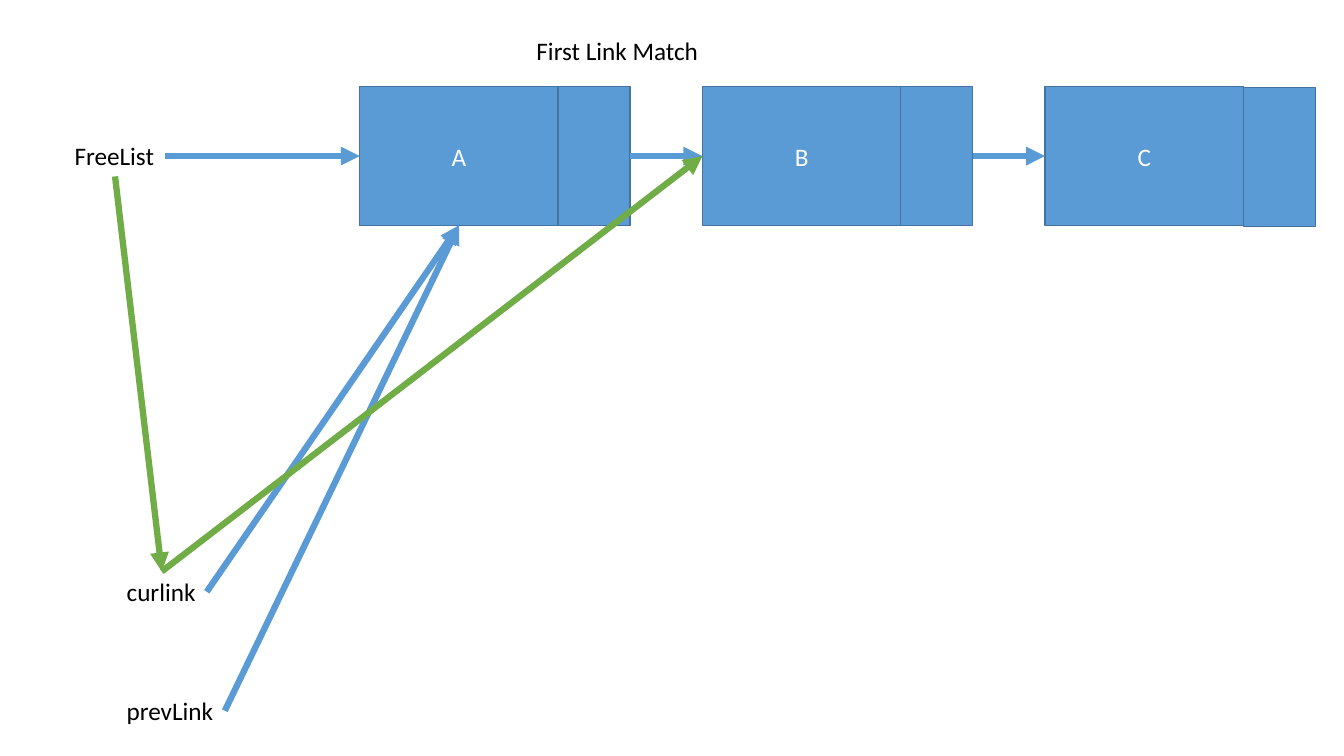
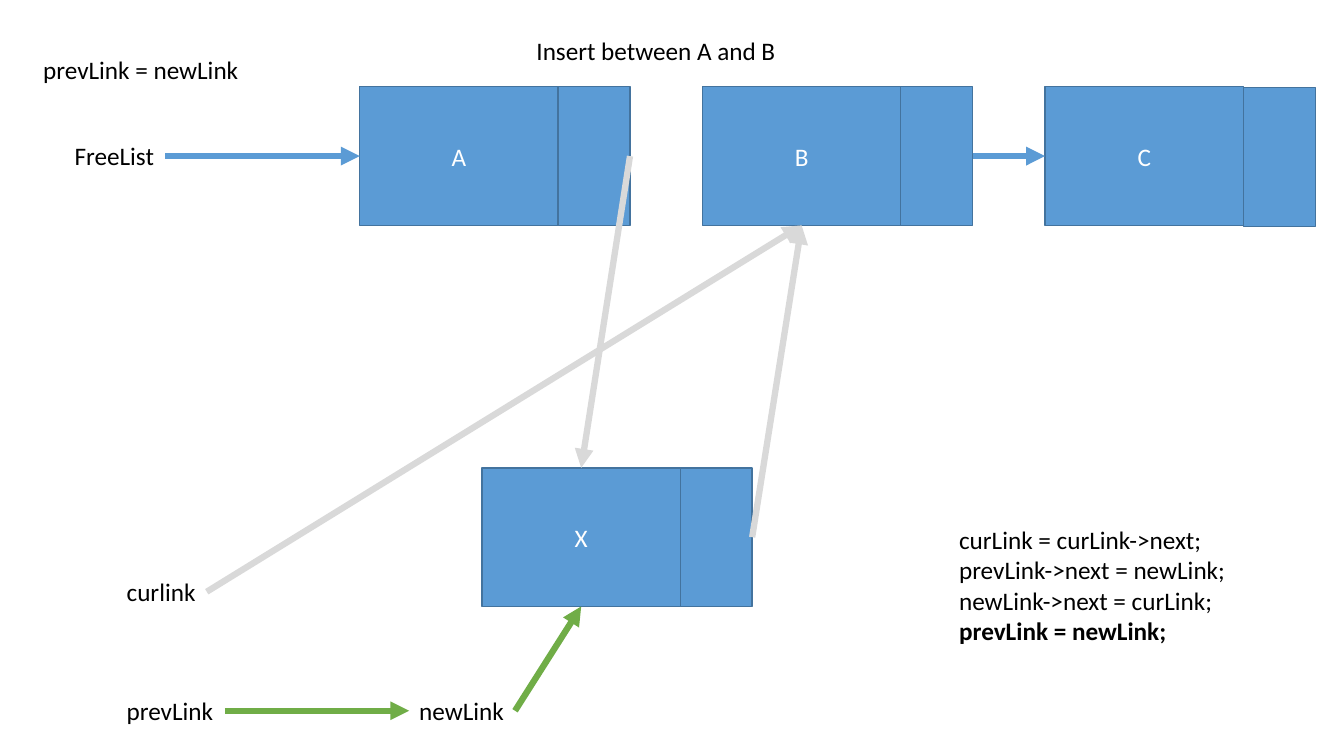
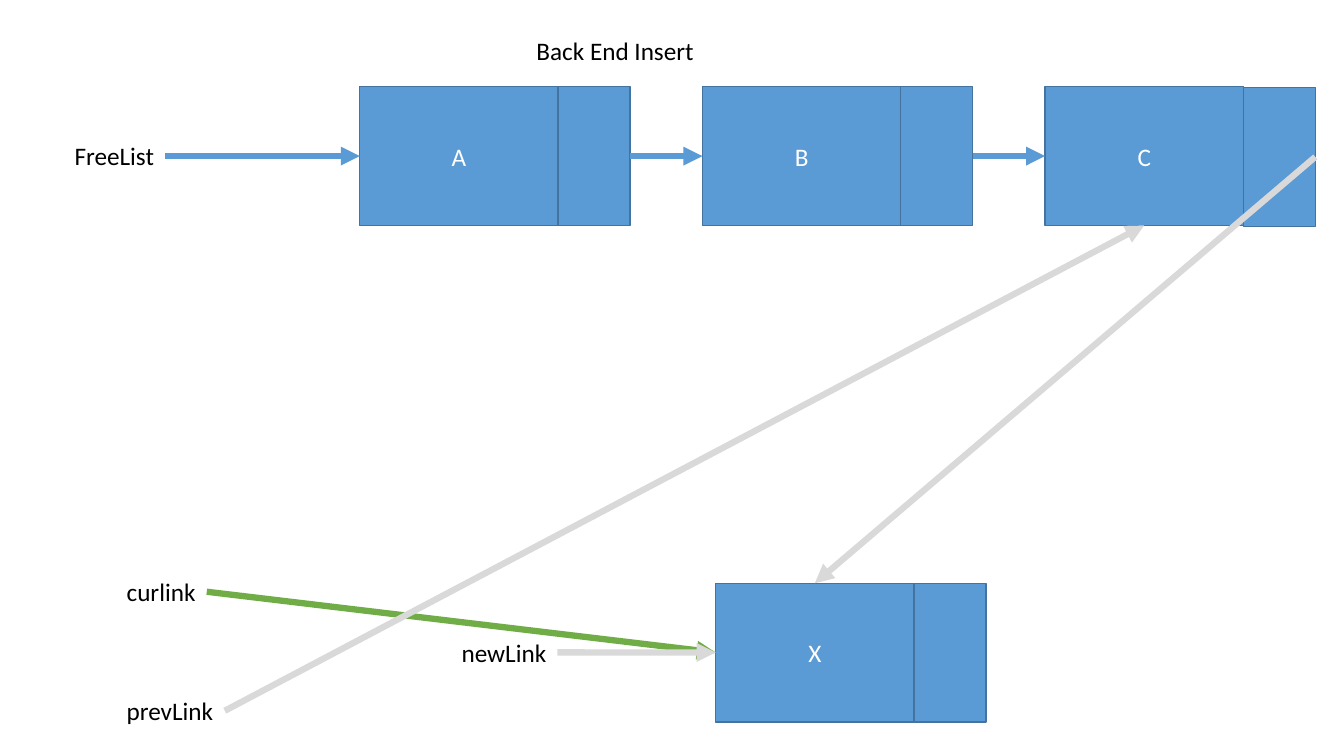
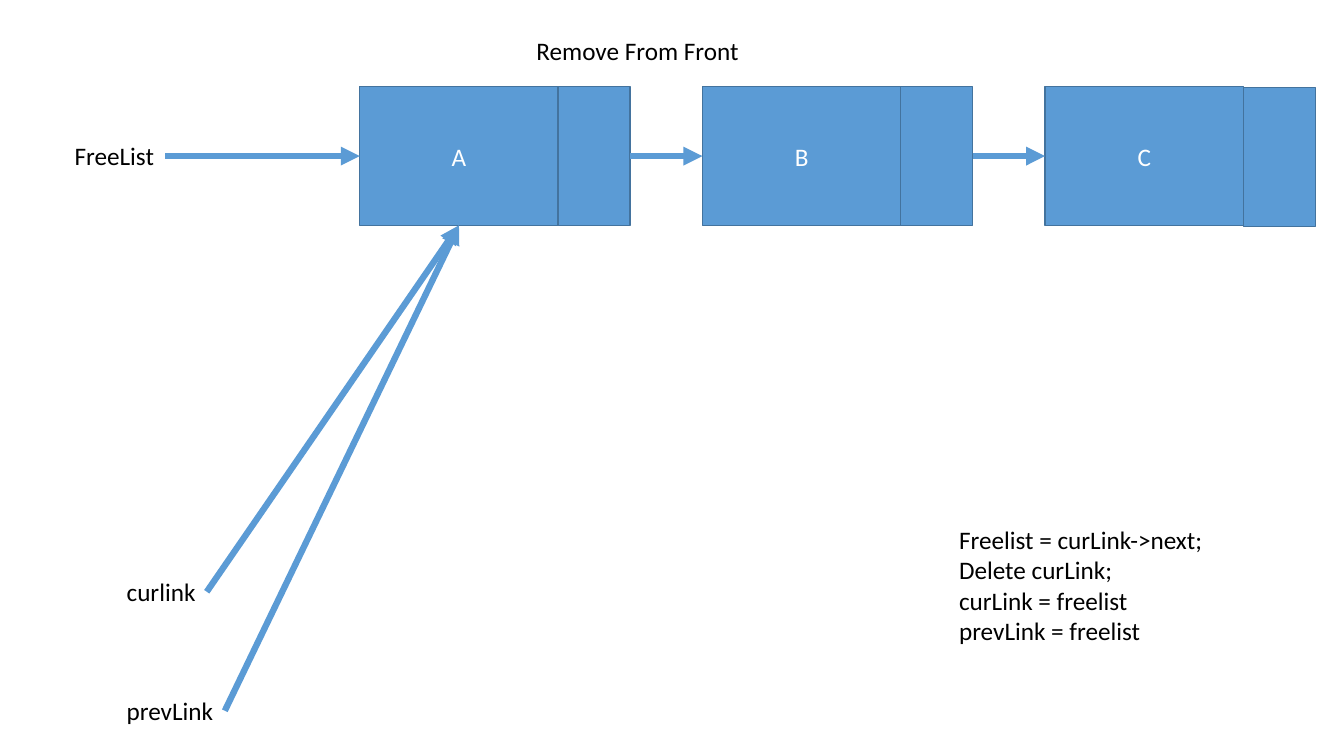
from pptx import Presentation
from pptx.dml.color import RGBColor
from pptx.enum.shapes import MSO_CONNECTOR, MSO_SHAPE
from pptx.enum.text import MSO_ANCHOR, MSO_AUTO_SIZE, PP_ALIGN
from pptx.oxml.ns import qn
from pptx.util import Pt
from lxml import etree

RECTANGLE = MSO_SHAPE.RECTANGLE
STRAIGHT = MSO_CONNECTOR.STRAIGHT
FIT_SHAPE = MSO_AUTO_SIZE.SHAPE_TO_FIT_TEXT
ANCHOR_TOP, ANCHOR_MIDDLE = MSO_ANCHOR.TOP, MSO_ANCHOR.MIDDLE
ALIGN_LEFT, ALIGN_CENTER = PP_ALIGN.LEFT, PP_ALIGN.CENTER

BLUE = RGBColor(0x5B, 0x9B, 0xD5)
OUTLINE = RGBColor(0x43, 0x73, 0x9E)
GREEN = RGBColor(0x70, 0xAD, 0x47)
GREY = RGBColor(0xD9, 0xD9, 0xD9)
BLACK = RGBColor(0, 0, 0)
WHITE = RGBColor(0xFF, 0xFF, 0xFF)
FONT, FONT_SIZE = "Calibri", 18

# Connection sites of a rectangle
TOP, LEFT, BOTTOM, RIGHT = range(4)

# Node geometry in points
DATA_WIDTH, NEXT_WIDTH, NODE_HEIGHT = 141.7, 51.3, 99
LIST_LEFT, LIST_TOP, NODE_PITCH = 257, 62, 244.75
LABEL_HEIGHT = 29
TITLE_LEFT, TITLE_TOP = 376, 21.6
CODE_LEFT, CODE_TOP = 678, 371

# Nodes: name, left, top, drop of the next cell
LIST_NODES = [(name, LIST_LEFT + i * NODE_PITCH, LIST_TOP, drop)
              for i, (name, drop) in enumerate([("A", 0), ("B", 0), ("C", 0.6)])]

# Labels: text, left, top, width
LIST_LABELS = [
    ("FreeList", 46.2, 97, 72),
    ("curlink", 83.4, 408.2, 64.3),
    ("prevLink", 83.4, 493.2, 77.2),
]

# Arrows: start, its site, end, its site, colour
FREELIST_TO_A = ("FreeList", RIGHT, "A", LEFT, BLUE)
A_TO_B = ("A.next", RIGHT, "B", LEFT, BLUE)
B_TO_C = ("B.next", RIGHT, "C", LEFT, BLUE)
CHAIN = [A_TO_B, B_TO_C, FREELIST_TO_A]
LINKS_TO_A = [
    ("curlink", RIGHT, "A", BOTTOM, BLUE),
    ("prevLink", RIGHT, "A", BOTTOM, BLUE),
]

SLIDES = [
    {
        "title": ("First Link Match", 131),
        "arrows": CHAIN + LINKS_TO_A + [
            ("FreeList", BOTTOM, "curlink", TOP, GREEN),
            ("curlink", TOP, "B", LEFT, GREEN),
        ],
    },
    {
        "title": ("Insert between A and B", 187.2),
        "nodes": [("X", 344.3, 334.2, 0)],
        "labels": [
            ("newLink", 292.3, 493.2, 75.6),
            ("prevLink = newLink", 23.8, 35.3, 155.5),
        ],
        "arrows": [
            B_TO_C,
            ("curlink", RIGHT, "B", BOTTOM, GREY),
            FREELIST_TO_A,
            ("newLink", RIGHT, "X", BOTTOM, GREEN),
            ("A.next", RIGHT, "X", TOP, GREY),
            ("X.next", RIGHT, "B", BOTTOM, GREY),
            ("prevLink", RIGHT, "newLink", LEFT, GREEN),
        ],
        "code": (["curLink = curLink->next;", "prevLink->next = newLink;",
                  "newLink->next = curLink;", "prevLink = newLink;"], 207.4, 159.8),
        "bold_line": 3,
    },
    {
        "title": ("Back End Insert", 128.2),
        "nodes": [("X", 511.2, 416.6, 0)],
        "labels": [("newLink", 322.6, 451.5, 75.6)],
        "arrows": CHAIN + [
            ("curlink", RIGHT, "X", LEFT, GREEN),
            ("prevLink", RIGHT, "C", BOTTOM, GREY),
            ("newLink", RIGHT, "X", LEFT, GREY),
            ("C.next", RIGHT, "X", TOP, GREY),
        ],
    },
    {
        "title": ("Remove From Front", 160.6),
        "arrows": CHAIN + LINKS_TO_A,
        "code": (["Freelist = curLink->next;", "Delete curLink;",
                  "curLink = freelist", "prevLink = freelist"], 190.8, 138.2),
    },
]


def place(shape, left, top, width, height):
    """Set the position and size of a shape in points."""
    shape.left, shape.top = Pt(left), Pt(top)
    shape.width, shape.height = Pt(width), Pt(height)


def format_text(text_frame, color, alignment):
    """Apply the shared font to every run of a text frame."""
    for paragraph in text_frame.paragraphs:
        paragraph.alignment = alignment
        paragraph.line_spacing = 1.0
        for run in paragraph.runs:
            run.font.name = FONT
            run.font.size = Pt(FONT_SIZE)
            run.font.color.rgb = color


def fill_text(shape, text):
    """Put unwrapped, left-aligned black text in a title or text box."""
    frame = shape.text_frame
    frame.text = text
    frame.word_wrap = False
    frame.auto_size = FIT_SHAPE
    frame.vertical_anchor = ANCHOR_TOP
    format_text(frame, BLACK, ALIGN_LEFT)


def add_text(slide, text, left, top, width, height=LABEL_HEIGHT):
    """Add a text box and return it."""
    box = slide.shapes.add_textbox(Pt(left), Pt(top), Pt(width), Pt(height))
    fill_text(box, text)
    return box


def add_cell(group, text, left, top, width):
    """Add one rectangle of a node and return it."""
    cell = group.shapes.add_shape(RECTANGLE, Pt(left), Pt(top), Pt(width), Pt(NODE_HEIGHT))
    cell.shadow.inherit = False
    cell.fill.solid()
    cell.fill.fore_color.rgb = BLUE
    cell.line.color.rgb = OUTLINE
    cell.line.width = Pt(1)
    if text:
        cell.text_frame.text = text
        cell.text_frame.vertical_anchor = ANCHOR_MIDDLE
        format_text(cell.text_frame, WHITE, ALIGN_CENTER)
    return cell


def add_node(slide, name, left, top, drop):
    """Add a grouped data cell and next cell; return both by name."""
    group = slide.shapes.add_group_shape()
    return {
        name: add_cell(group, name, left, top, DATA_WIDTH),
        name + ".next": add_cell(group, "", left + DATA_WIDTH, top + drop, NEXT_WIDTH),
    }


def add_arrow(slide, start, start_site, end, end_site, color):
    """Glue a straight arrow to the sites of two shapes."""
    arrow = slide.shapes.add_connector(STRAIGHT, 0, 0, 0, 0)
    arrow.begin_connect(start, start_site)
    arrow.end_connect(end, end_site)
    arrow.line.color.rgb = color
    arrow.line.width = Pt(4.5)
    properties = arrow.element.spPr
    etree.SubElement(properties.find(qn("a:ln")), qn("a:tailEnd"), type="triangle")
    etree.SubElement(properties, qn("a:effectLst"))


def build_slide(presentation, content):
    """Build one linked-list slide from its content."""
    slide = presentation.slides.add_slide(presentation.slide_layouts[5])
    title, title_width = content["title"]
    place(slide.shapes.title, TITLE_LEFT, TITLE_TOP, title_width, LABEL_HEIGHT)
    fill_text(slide.shapes.title, title)

    parts = {}
    for node in LIST_NODES + content.get("nodes", []):
        parts.update(add_node(slide, *node))
    for label in LIST_LABELS + content.get("labels", []):
        parts[label[0]] = add_text(slide, *label)
    for start, start_site, end, end_site, color in content["arrows"]:
        add_arrow(slide, parts[start], start_site, parts[end], end_site, color)

    if "code" in content:
        lines, width, height = content["code"]
        code = add_text(slide, "\n".join(lines), CODE_LEFT, CODE_TOP, width, height)
        if "bold_line" in content:
            code.text_frame.paragraphs[content["bold_line"]].runs[0].font.bold = True


presentation = Presentation()
presentation.slide_width, presentation.slide_height = Pt(960), Pt(540)
for slide_content in SLIDES:
    build_slide(presentation, slide_content)
presentation.save("out.pptx")
